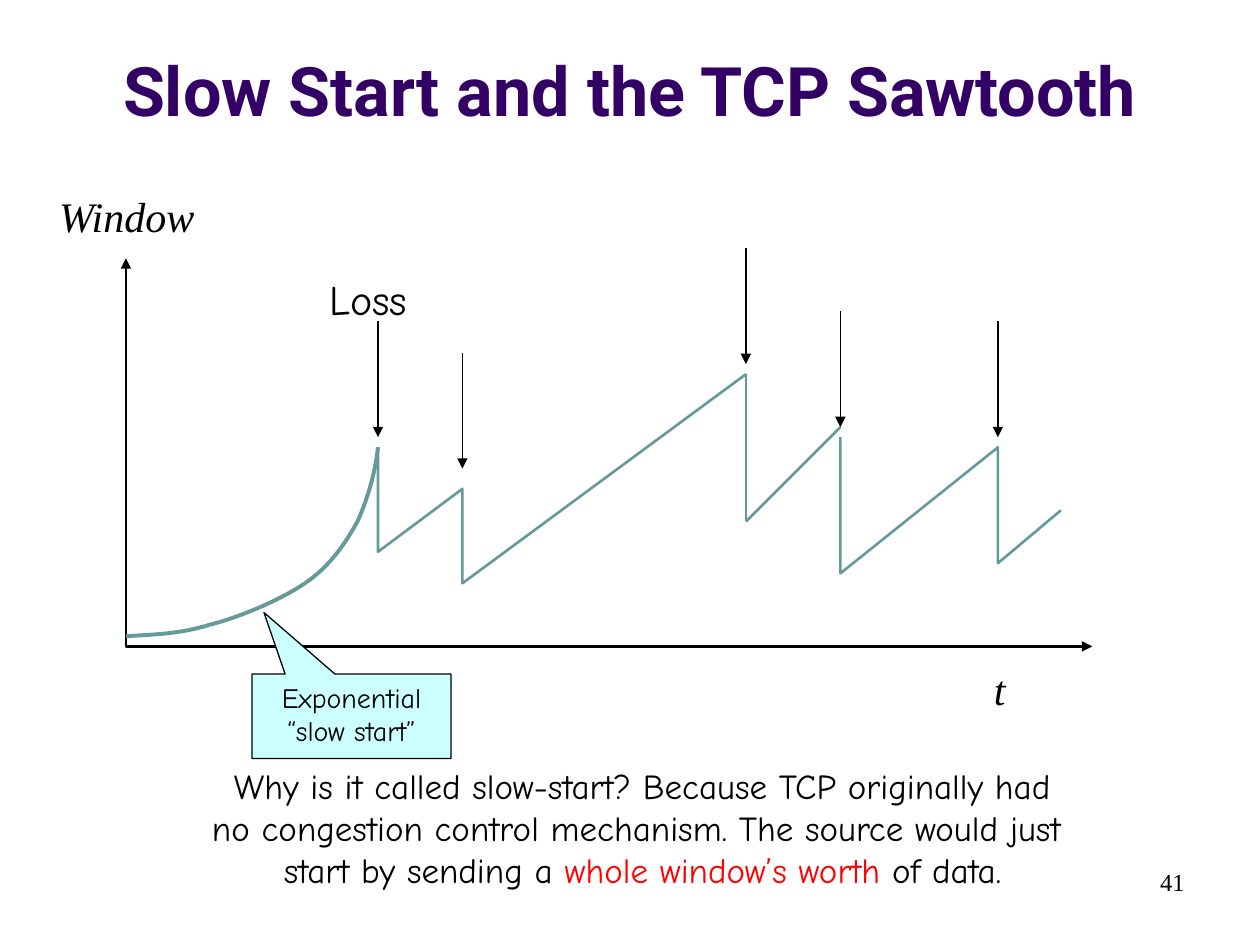
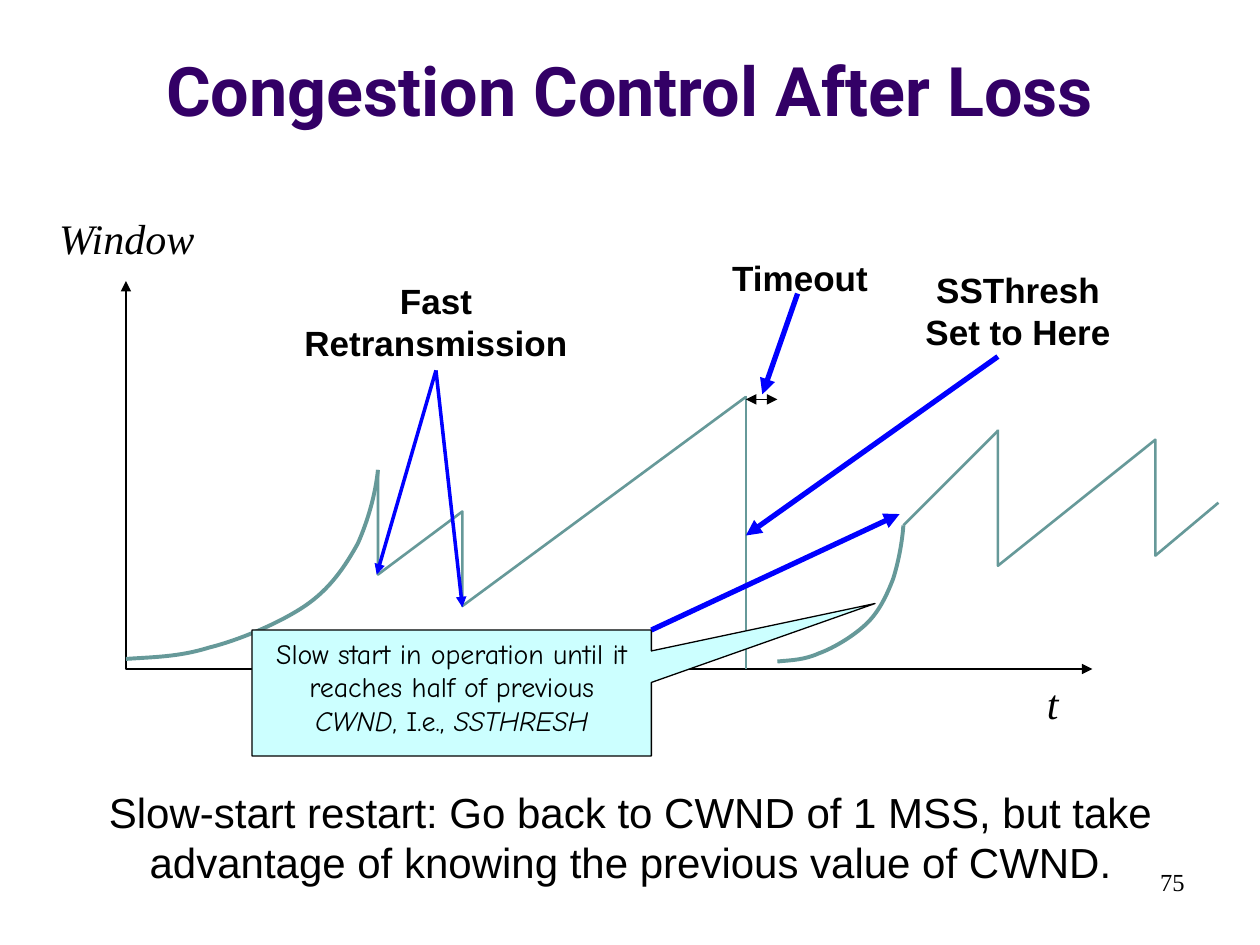
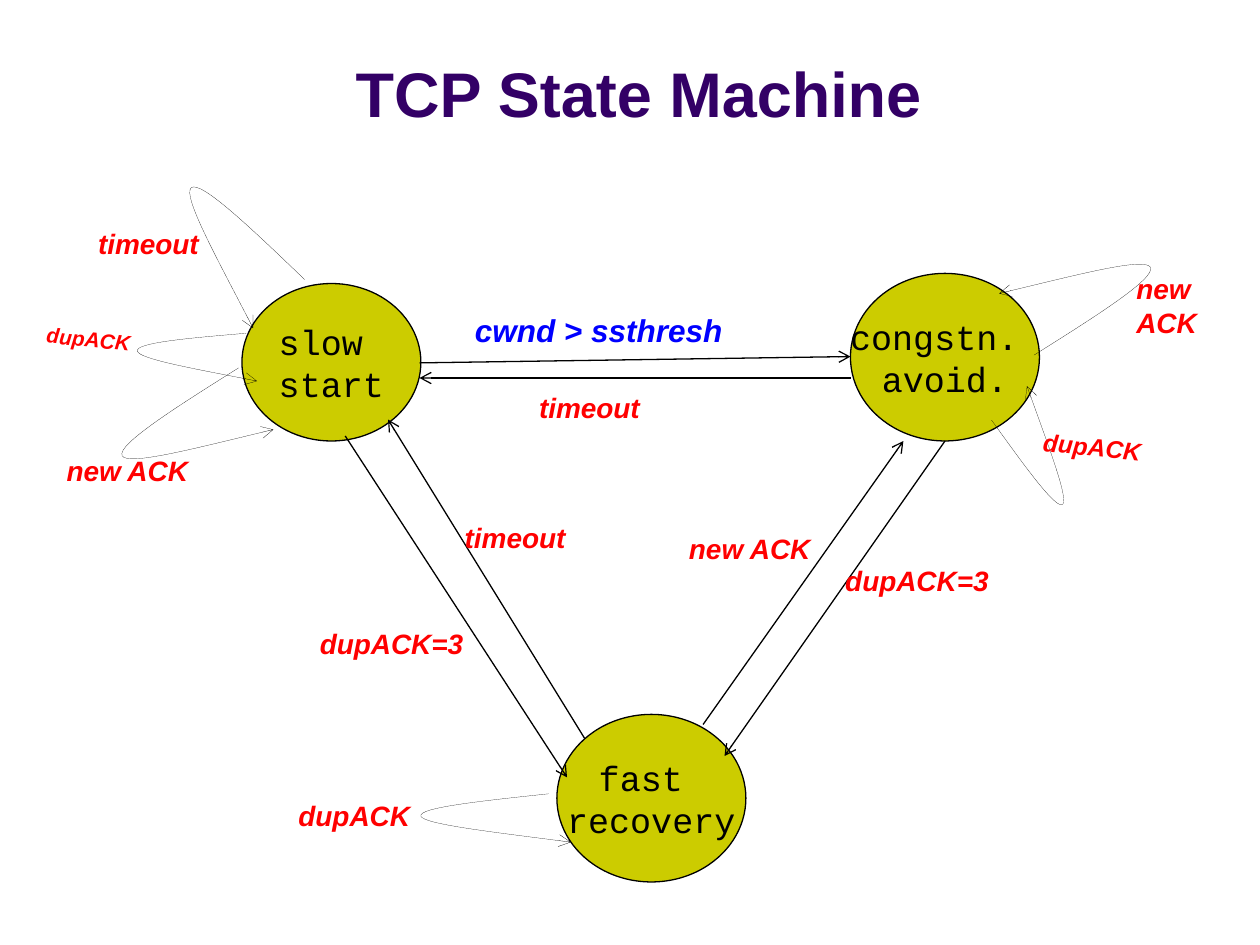
from dataclasses import dataclass
from typing import Any, NamedTuple, Optional

from lxml.etree import SubElement
from pptx import Presentation
from pptx.dml.color import RGBColor
from pptx.enum.shapes import MSO_CONNECTOR as Connector, MSO_SHAPE as Preset
from pptx.enum.text import MSO_ANCHOR as Anchor, MSO_AUTO_SIZE as AutoSize, PP_ALIGN as Align
from pptx.oxml.ns import qn
from pptx.util import Cm, Pt

# Shared look
COLORS = {
    "title": "330066", "ink": "000000", "curve": "669999", "callout": "CCFFFF",
    "state": "CCCC00", "event": "FF0000", "pointer": "0000FF",
}
STYLES: dict[str, dict[str, Any]] = {
    "title": {"name": "Roboto", "size": Pt(39), "bold": True},
    "plain title": {"name": "Arial", "size": Pt(36), "bold": True},
    "number": {"name": "Times New Roman", "size": Pt(14)},
    "axis": {"name": "Times New Roman", "size": Pt(24), "italic": True},
    "loss": {"name": "Comic Neue", "size": Pt(24)},
    "remark": {"name": "Comic Neue", "size": Pt(20)},
    "callout": {"name": "Comic Neue", "size": Pt(16)},
    "summary": {"name": "Arial", "size": Pt(24)},
    "heading": {"name": "Arial", "size": Pt(20), "bold": True},
    "state": {"name": "Courier New", "size": Pt(20)},
    "condition": {"name": "Arial", "size": Pt(18), "bold": True, "italic": True},
    "event": {"name": "Arial", "size": Pt(16), "bold": True, "italic": True},
    "event 14": {"name": "Arial", "size": Pt(14), "bold": True, "italic": True},
    "event 12": {"name": "Arial", "size": Pt(12), "bold": True, "italic": True},
}
Point = tuple[float, float]
Box = tuple[float, float, float, float]


class Span(NamedTuple):
    text: str
    color: str = "ink"
    italic: Optional[bool] = None


@dataclass
class Label:
    box: Box
    paragraphs: list[list[Span]]
    style: str
    align: Align = Align.LEFT
    wrap: bool = False
    rotation: float = 0


@dataclass
class Arrow:
    start: Point
    end: Point
    color: str = "ink"
    width: float = 0.75
    head: str = ""
    tail: str = "triangle"


class State(NamedTuple):
    box: Box
    name: str


class Event(NamedTuple):
    text: str
    box: Box
    style: str = "event"
    rotation: float = 0


class Loop(NamedTuple):
    box: Box
    rotation: float
    event: Event


def grid(value: float) -> Cm:
    """The slide is 10 by 7.5 grid units of 2.54 cm."""
    return Cm(value * 2.54)


def place(values: tuple[float, ...]) -> list[Cm]:
    return [grid(value) for value in values]


def rgb(color: str) -> RGBColor:
    return RGBColor.from_string(COLORS[color])


def set_format(target: Any, values: dict[str, Any]) -> None:
    for name, value in values.items():
        setattr(target, name, value)


# Text
def write(frame: Any, paragraphs: list[list[Span]], style: str, align: Align) -> None:
    for index, spans in enumerate(paragraphs):
        paragraph = frame.add_paragraph() if index else frame.paragraphs[0]
        paragraph.alignment = align
        for span in spans:
            for line_number, line in enumerate(span.text.split("\n")):
                if line_number:
                    paragraph.add_line_break()
                run = paragraph.add_run()
                run.text = line
                set_format(run.font, STYLES[style])
                if span.italic is not None:
                    run.font.italic = span.italic
                run.font.color.rgb = rgb(span.color)


def add_label(slide: Any, label: Label) -> Any:
    shape = slide.shapes.add_textbox(*place(label.box))
    shape.rotation = label.rotation
    set_format(shape.text_frame, {"word_wrap": label.wrap, "auto_size": AutoSize.SHAPE_TO_FIT_TEXT})
    write(shape.text_frame, label.paragraphs, label.style, label.align)
    return shape


def add_heading(slide: Any, box: Box, lines: list[str]) -> Any:
    paragraphs = [[Span(line)] for line in lines]
    return add_label(slide, Label(box, paragraphs, "heading", Align.CENTER, True))


def add_slide(presentation: Any, title: str, style: str = "title", number: str = "") -> Any:
    slide = presentation.slides.add_slide(presentation.slide_layouts[5])
    shape = slide.shapes.title
    left, top, width, height = place((0, 0.13, 10, 0.95))
    set_format(shape, {"left": left, "top": top, "width": width, "height": height})
    set_format(shape.text_frame, {"vertical_anchor": Anchor.BOTTOM, "auto_size": AutoSize.NONE})
    write(shape.text_frame, [[Span(title, "title")]], style, Align.CENTER)
    if number:
        box = slide.shapes.add_textbox(*place((7.17, 6.83, 2.33, 0.5)))
        box.text_frame.word_wrap = True
        write(box.text_frame, [[Span(number)]], "number", Align.RIGHT)
    return slide


# Lines and shapes
def style_line(shape: Any, color: str, width: Optional[float], head: str = "", tail: str = "") -> None:
    shape.line.color.rgb = rgb(color)
    if width:
        shape.line.width = Pt(width)
    outline = shape._element.spPr.find(qn("a:ln"))
    for tag, kind in (("a:headEnd", head), ("a:tailEnd", tail)):
        if kind:
            SubElement(outline, qn(tag)).set("type", kind)


def add_arrow(slide: Any, arrow: Arrow) -> Any:
    connector = slide.shapes.add_connector(Connector.STRAIGHT, *place(arrow.start + arrow.end))
    style_line(connector, arrow.color, arrow.width, arrow.head, arrow.tail)
    SubElement(connector._element.spPr, qn("a:effectLst"))
    return connector


def add_path(slide: Any, points: list[Point], color: str = "curve", width: Optional[float] = 1.5,
             head: str = "", tail: str = "") -> Any:
    corners = [tuple(place(point)) for point in points]
    builder = slide.shapes.build_freeform(*corners[0])
    builder.add_line_segments(corners[1:], close=False)
    shape = builder.convert_to_shape()
    shape.fill.background()
    shape.shadow.inherit = False
    style_line(shape, color, width, head, tail)
    return shape


def add_curve(slide: Any, box: Box, unit_points: list[Point], color: str,
              width: Optional[float], tail: str = "") -> Any:
    """Draw chained cubic curves: a start, then three points for each curve."""
    left, top, box_width, box_height = box
    points = [(left + x * box_width, top + y * box_height) for x, y in unit_points]
    shape = add_path(slide, points[::3], color, width, tail=tail)
    outline = shape._element.spPr.find(".//" + qn("a:path"))
    for segment in outline.findall(qn("a:lnTo")):
        outline.remove(segment)
    for first in range(1, len(points), 3):
        segment = SubElement(outline, qn("a:cubicBezTo"))
        for x, y in points[first:first + 3]:
            corner = SubElement(segment, qn("a:pt"))
            corner.set("x", str(grid(x) - shape.left))
            corner.set("y", str(grid(y) - shape.top))
    return shape


def add_filled(slide: Any, preset: Preset, box: Box, fill: str) -> Any:
    shape = slide.shapes.add_shape(preset, *place(box))
    shape.shadow.inherit = False
    shape.fill.solid()
    shape.fill.fore_color.rgb = rgb(fill)
    style_line(shape, "ink", 0.75)
    return shape


def add_callout(slide: Any, box: Box, tip: Point, spans: list[Span]) -> None:
    shape = add_filled(slide, Preset.RECTANGULAR_CALLOUT, box, "callout")
    shape.adjustments[0], shape.adjustments[1] = tip
    shape.text_frame.vertical_anchor = Anchor.TOP
    write(shape.text_frame, [spans], "callout", Align.CENTER)


# Window chart parts
SLOW_START = [
    (1, 0), (0.99, 0.13), (0.96, 0.27), (0.92, 0.39), (0.87, 0.51), (0.81, 0.63), (0.71, 0.72),
    (0.61, 0.81), (0.45, 0.9), (0.33, 0.94), (0.21, 0.99), (0.11, 0.99), (0, 1),
]


def add_slow_start(slide: Any, box: Box) -> None:
    add_curve(slide, box, SLOW_START, "curve", 2.25)


def add_late_teeth(slide: Any, left: float, top: float) -> None:
    offsets = [(0, 0), (0, 1.08), (1.25, 0.08), (1.25, 1), (1.75, 0.58)]
    add_path(slide, [(left + x, top + y) for x, y in offsets])


def add_window_chart(slide: Any, top: float, time_corner: Point) -> None:
    add_path(slide, [(1, top), (1, top + 3.08), (8.67, top + 3.08)], "ink", 1.5, "triangle", "triangle")
    add_slow_start(slide, (1, top + 1.5, 2, 1.5))
    teeth = [(3, 1.5), (3, 2.33), (3.67, 1.83), (3.67, 2.58), (5.92, 0.92)]
    add_path(slide, [(x, top + y) for x, y in teeth])
    add_label(slide, Label(time_corner + (0.29, 0.5), [[Span("t")]], "axis"))
    add_label(slide, Label((0.37, top - 0.59, 1.29, 0.5), [[Span("Window")]], "axis"))


def build_sawtooth(presentation: Any) -> None:
    slide = add_slide(presentation, "Slow Start and the TCP Sawtooth", number="41")
    add_window_chart(slide, 2.05, (7.79, 5.22))
    for x, y in [(3, 2.55), (3.67, 2.8), (5.92, 1.97), (6.67, 2.47), (7.92, 2.55)]:
        add_arrow(slide, Arrow((x, y), (x, y + 0.92)))
    add_label(slide, Label((2.52, 2.12, 0.89, 0.5), [[Span("Loss")]], "loss"))
    add_callout(slide, (2, 5.35, 1.58, 0.67), (-0.44, -1.23), [Span("Exponential\n“slow start”")])
    remark = [
        [Span("Why is it called slow-start? Because TCP originally had")],
        [Span("no congestion control mechanism. The source would just \nstart by sending a "),
         Span("whole window’s worth", "event"), Span(" of data.")],
    ]
    add_label(slide, Label((1.35, 6.02, 7.5, 1.1), remark, "remark", Align.CENTER))
    add_late_teeth(slide, 6.67, 3.47)
    for start, end in [((5.92, 4.14), (6.67, 3.39)), ((5.92, 2.97), (5.92, 4.13))]:
        add_arrow(slide, Arrow(start, end, "curve", 1.5, tail=""))


def build_after_loss(presentation: Any) -> None:
    slide = add_slide(presentation, "Congestion Control After Loss", number="75")
    add_window_chart(slide, 2.23, (8.21, 5.33))
    summary = ("Slow-start restart: Go back to CWND of 1 MSS, but take "
               "advantage of knowing the previous value of CWND.")
    add_label(slide, Label((0.72, 6.19, 8.57, 0.9), [[Span(summary)]], "summary", Align.CENTER, True))

    # Restart after the timeout
    add_arrow(slide, Arrow((5.92, 3.14), (5.92, 5.31), "curve", 1.5, tail=""))
    add_slow_start(slide, (6.17, 4.17, 1, 1.08))
    add_callout(slide, (2, 5, 3.17, 1), (1.06, -0.71), [
        Span("Slow start in operation until it reaches half of previous "),
        Span("CWND", italic=True), Span(", I.e., "), Span("SSTHRESH", italic=True),
    ])
    add_late_teeth(slide, 7.92, 3.41)
    add_arrow(slide, Arrow((7.17, 4.17), (7.92, 3.42), "curve", 1.5, tail=""))

    # Pointers and their headings
    for start, end in [((5.17, 5), (7.14, 4.08)), ((6.33, 2.33), (6.05, 3.13)),
                       ((7.92, 2.83), (5.92, 4.25))]:
        add_arrow(slide, Arrow(start, end, "pointer", 3))
    add_arrow(slide, Arrow((5.92, 3.17), (6.17, 3.17), head="triangle"))
    add_heading(slide, (5.58, 1.99, 1.54, 0.43), ["Timeout"])
    add_heading(slide, (7.08, 2.08, 2, 0.77), ["SSThresh", "Set to Here"])
    retransmission = add_heading(slide, (2.17, 2.17, 2.58, 0.77), ["Fast Retransmission"])
    for end in [(2.99, 4.56), (3.67, 4.82)]:
        pointer = add_arrow(slide, Arrow((3.46, 2.94), end, "pointer", 2))
        pointer.begin_connect(retransmission, 2)


# State machine
STATES = [
    State((1.92, 2.25, 1.42, 1.25), "slow \nstart"),
    State((6.75, 2.17, 1.5, 1.33), "congstn. \navoid."),
    State((4.42, 5.67, 1.5, 1.33), "fast \nrecovery"),
]
TRANSITIONS = [
    ((3.33, 2.88), (6.75, 2.83)), ((6.75, 3), (3.33, 3)), ((2.74, 3.46), (4.5, 6.17)),
    ((7.5, 3.5), (5.75, 6)), ((5.58, 5.75), (7.17, 3.5)), ((4.64, 5.86), (3.08, 3.33)),
]
EVENTS = [
    Event("timeout", (4.18, 3.05, 1.07, 0.37)),
    Event("dupACK=3", (2.44, 4.92, 1.41, 0.37)),
    Event("timeout", (3.59, 4.08, 1.07, 0.37)),
    Event("dupACK=3", (6.61, 4.42, 1.41, 0.37)),
    Event("new ACK", (5.37, 4.17, 1.23, 0.37)),
]
LOOP_CURVE = [
    (0.77, 0), (0.36, 0.43), (-0.04, 0.85), (0, 0.97), (0.04, 1.08), (0.52, 0.87), (1, 0.68),
]
LOOPS = [
    Loop((3.38, 6.2, 1.2, 0.47), 16.3, Event("dupACK", (2.27, 6.29, 1.15, 0.37))),
    Loop((0.97, 2.92, 1.2, 0.72), 0, Event("new ACK", (0.43, 3.55, 1.23, 0.37))),
    Loop((1.4, 1.64, 1.2, 0.72), 76, Event("timeout", (0.68, 1.75, 1.07, 0.37))),
    Loop((7.93, 2.12, 1.2, 0.72), 180, Event("new \nACK", (8.92, 2.11, 0.75, 0.64))),
    Loop((1.14, 2.53, 0.97, 0.47), 22.1, Event("dupACK", (0.27, 2.54, 0.88, 0.3), "event 12", 5.8)),
    Loop((7.65, 3.33, 0.97, 0.47), 261.2, Event("dupACK", (8.18, 3.38, 1, 0.34), "event 14", 5.8)),
]


def add_event(slide: Any, event: Event) -> None:
    add_label(slide, Label(event.box, [[Span(event.text, "event")]], event.style,
                           wrap=event.rotation != 0, rotation=event.rotation))


def add_loop(slide: Any, loop: Loop) -> None:
    shape = add_curve(slide, loop.box, LOOP_CURVE, "ink", None, "arrow")
    shape.rotation = loop.rotation
    # Without the theme style the line is a hairline
    shape._element.remove(shape._element.find(qn("p:style")))
    add_event(slide, loop.event)


def build_state_machine(presentation: Any) -> None:
    slide = add_slide(presentation, " TCP State Machine", "plain title")
    for state in STATES:
        shape = add_filled(slide, Preset.OVAL, state.box, "state")
        set_format(shape.text_frame, {"word_wrap": False, "vertical_anchor": Anchor.MIDDLE})
        write(shape.text_frame, [[Span(state.name)]], "state", Align.CENTER)
    for start, end in TRANSITIONS:
        add_arrow(slide, Arrow(start, end, tail="arrow"))
    condition = [[Span("cwnd > ssthresh", "pointer")]]
    add_label(slide, Label((3.67, 2.42, 2.25, 0.4), condition, "condition"))
    for event in EVENTS:
        add_event(slide, event)
    for loop in LOOPS:
        add_loop(slide, loop)


def main() -> None:
    presentation = Presentation()
    presentation.slide_width, presentation.slide_height = place((10, 7.5))
    build_sawtooth(presentation)
    build_after_loss(presentation)
    build_state_machine(presentation)
    presentation.save("out.pptx")


if __name__ == "__main__":
    main()
